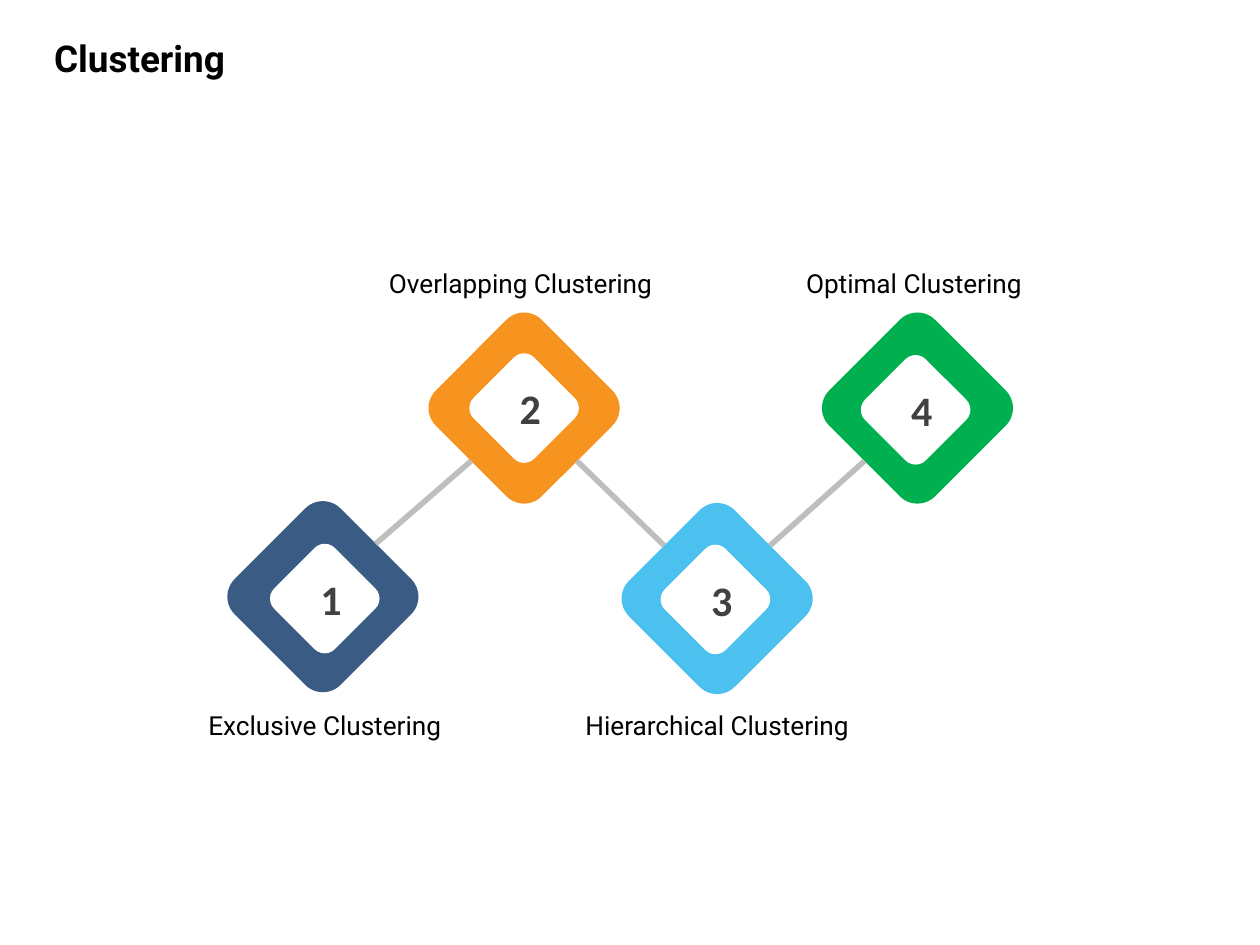
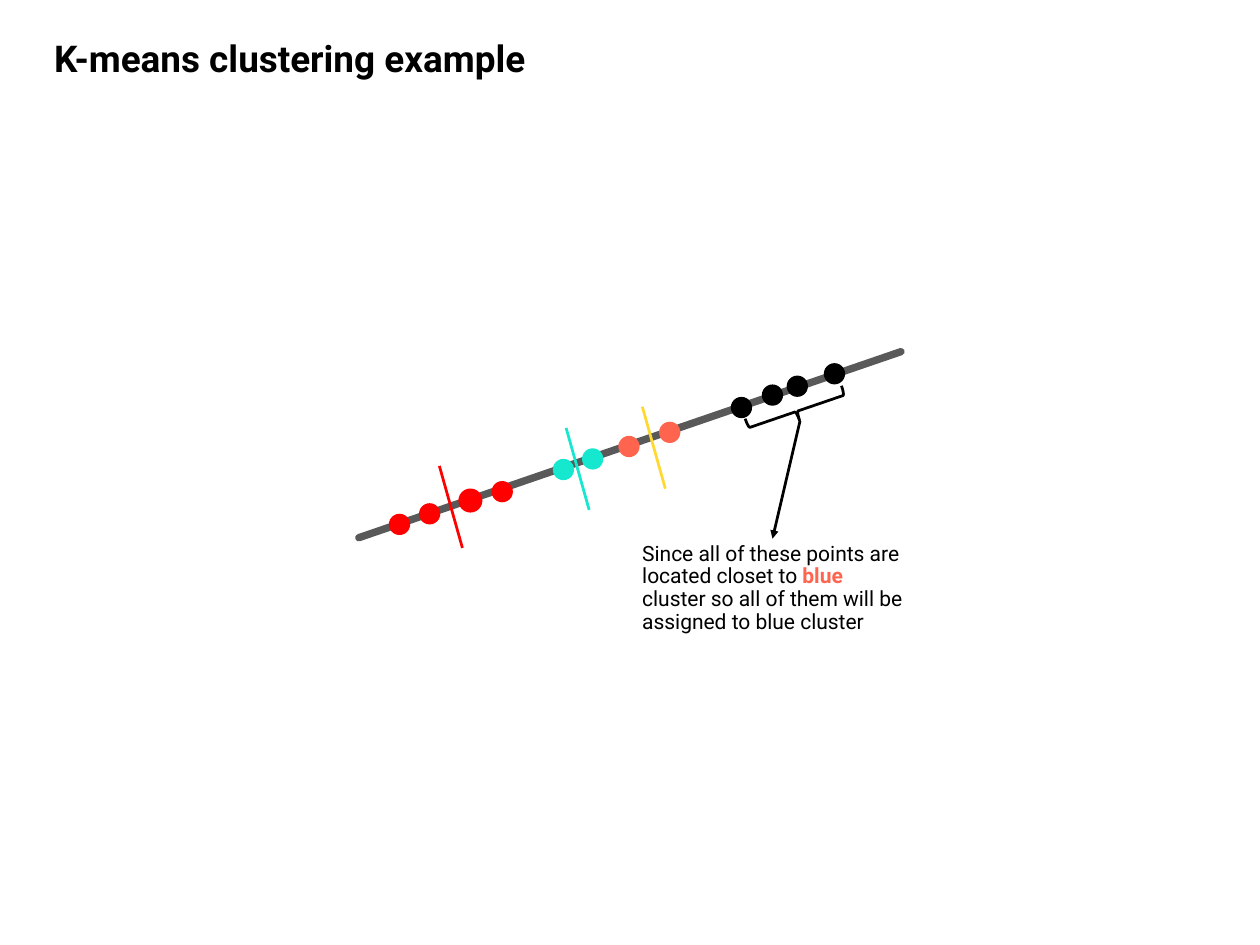
from lxml.etree import SubElement
from pptx import Presentation
from pptx.dml.color import RGBColor
from pptx.enum.shapes import MSO_CONNECTOR, MSO_SHAPE as SHAPE
from pptx.enum.text import MSO_ANCHOR as ANCHOR, MSO_AUTO_SIZE, PP_ALIGN as ALIGN
from pptx.oxml.ns import qn
from pptx.util import Pt

COLORS = {
    "black": "000000", "white": "FFFFFF", "number": "404040",
    "link": "BEBEBE", "axis": "595959",
    "navy": "3A5C84", "orange": "F7931F", "sky": "4CC1EF", "green": "00B050",
    "red": "FF0000", "teal": "16E7CF", "coral": "FF644E", "yellow": "FFD932",
}
FONT = "Roboto"
TITLE_ONLY = 5
TITLE_BOX = (36.7, 29.5, 528.5, 40.3)

OUTER, INNER, NUMBER = 121.7, 69.8, 26.6
# Connection sites of a diamond turned by 225 degrees
DOWN_LEFT, DOWN_RIGHT, UP_RIGHT, UP_LEFT = range(4)
SITE_DIRECTION = {DOWN_LEFT: (-1, 1), DOWN_RIGHT: (1, 1),
                  UP_RIGHT: (1, -1), UP_LEFT: (-1, -1)}

# Label, colour, centre, centre of the white middle, label centre, top, width
METHODS = [
    ("Exclusive Clustering", "navy", (262.4, 484.9), (263.9, 486.4), (263.9, 576, 224)),
    ("Overlapping Clustering", "orange", (425.9, 331.6), (425.9, 331.6), (423, 216.7, 258.5)),
    ("Hierarchical Clustering", "sky", (582.8, 486.4), (581.4, 487.1), (582.8, 576, 224)),
    ("Optimal Clustering", "green", (745.6, 331.6), (744.1, 333), (742.7, 216.7, 258.5)),
]

DOT = 17.3
CLUSTERS = {
    "red": [(324.7, 426.2), (349.2, 417.6), (382.3, 406.8), (408.2, 399.6)],
    "teal": [(457.9, 381.6), (481.7, 373)],
    "coral": [(511.2, 362.9), (544.3, 351.4)],
    "black": [(602.6, 331.2), (627.8, 321.1), (648, 313.9), (678.2, 303.8)],
}
OUTLINED_DOT = CLUSTERS["red"][2]
CENTROIDS = {"red": (357.1, 378.7), "teal": (460.1, 347.8), "yellow": (522, 330.5)}
CENTROID_RUN = (18.7, 66.6)


def rgb(name):
    return RGBColor.from_string(COLORS[name])


def points(*values):
    return [Pt(v) for v in values]


def write(tf, text, size, font=FONT, color="black", bold=False,
          align=ALIGN.LEFT, spacing=0.9, anchor=ANCHOR.TOP):
    """Add text to the frame's paragraph; text is a string or (text, color, bold) runs."""
    tf.word_wrap = True
    tf.auto_size = MSO_AUTO_SIZE.NONE
    tf.vertical_anchor = anchor
    p = tf.paragraphs[0]
    p.alignment, p.line_spacing = align, spacing
    runs = [(text, color, bold)] if isinstance(text, str) else text
    for part, part_color, part_bold in runs:
        r = p.add_run()
        r.text = part
        r.font.name, r.font.size, r.font.bold = font, Pt(size), part_bold
        r.font.color.rgb = rgb(part_color)


def add_text(s, box, text, size, side_inset=7.2, **fmt):
    tf = s.shapes.add_textbox(*points(*box)).text_frame
    tf.margin_left = tf.margin_right = Pt(side_inset)
    write(tf, text, size, **fmt)


def add_title_slide(prs, title):
    s = prs.slides.add_slide(prs.slide_layouts[TITLE_ONLY])
    sp = s.shapes.title
    sp.left, sp.top, sp.width, sp.height = points(*TITLE_BOX)
    write(sp.text_frame, title, 30, bold=True)
    return s


def add_shape(s, kind, center, width, height=None, fill=None, line=None, rotation=0):
    height = height or width
    x, y = center
    sp = s.shapes.add_shape(kind, *points(x - width / 2, y - height / 2, width, height))
    sp.shadow.inherit = False
    sp.rotation = rotation
    if fill:
        sp.fill.solid()
        sp.fill.fore_color.rgb = rgb(fill)
    else:
        sp.fill.background()
    if line:
        sp.line.color.rgb = rgb(line)
        sp.line.width = Pt(2.25)
    else:
        sp.line.fill.background()
    return sp


def add_line(s, start, end, color, width=2.25, round_cap=False, arrow=False):
    c = s.shapes.add_connector(MSO_CONNECTOR.STRAIGHT, *points(*start, *end))
    c.line.color.rgb = rgb(color)
    c.line.width = Pt(width)
    props = c._element.spPr
    ln = props.find(qn("a:ln"))
    if round_cap:
        ln.set("cap", "rnd")
    if arrow:
        SubElement(ln, qn("a:tailEnd"), type="triangle")
    SubElement(props, qn("a:effectLst"))
    return c


def add_diamond(s, center, size, fill):
    return add_shape(s, SHAPE.ROUNDED_RECTANGLE, center, size, fill=fill, rotation=225)


def side_middle(center, site):
    reach = OUTER / 2 * 0.5 ** 0.5
    return [c + reach * d for c, d in zip(center, SITE_DIRECTION[site])]


def link_diamonds(s, first, second):
    """Join two (shape, centre) diamonds at their facing sides."""
    (a, a_center), (b, b_center) = first, second
    rising = b_center[1] < a_center[1]
    a_site, b_site = (UP_RIGHT, DOWN_LEFT) if rising else (DOWN_RIGHT, UP_LEFT)
    start, end = side_middle(a_center, a_site), side_middle(b_center, b_site)
    c = add_line(s, start, end, "link", 4.5)
    c.begin_connect(a, a_site)
    c.end_connect(b, b_site)
    # Joining ignores rotation, so the ends are set again
    c.begin_x, c.begin_y = points(*start)
    c.end_x, c.end_y = points(*end)


def add_method(s, number, label, color, center, middle, label_place):
    diamond = add_diamond(s, center, OUTER, color)
    add_diamond(s, middle, INNER, "white")
    badge = add_shape(s, SHAPE.OVAL, (middle[0] - 1.2, middle[1]), NUMBER, fill="white")
    write(badge.text_frame, str(number), 34.1, font="Calibri", color="number",
          bold=True, align=ALIGN.CENTER, spacing=1, anchor=ANCHOR.MIDDLE)
    x, top, width = label_place
    add_text(s, (x - width / 2, top, width, 30.2), label, 21.3, side_inset=0,
             align=ALIGN.CENTER, anchor=ANCHOR.BOTTOM)
    return diamond, center


def build_methods(prs):
    s = add_title_slide(prs, "Clustering")
    diamonds = [add_method(s, i, *method) for i, method in enumerate(METHODS, 1)]
    for first, second in zip(diamonds, diamonds[1:]):
        link_diamonds(s, first, second)


def build_example(prs):
    s = add_title_slide(prs, "K-means clustering example")
    add_line(s, (291.6, 437), (732.2, 285.8), "axis", 6, round_cap=True)
    for color, centers in CLUSTERS.items():
        for center in centers:
            add_shape(s, SHAPE.OVAL, center, DOT, fill=color,
                      line=color if center == OUTLINED_DOT else None)
    for color, (x, y) in CENTROIDS.items():
        add_line(s, (x, y), (x + CENTROID_RUN[0], y + CENTROID_RUN[1]), color)
    add_shape(s, SHAPE.RIGHT_BRACE, (647.3, 334.4), 15.8, 82.8, line="black", rotation=71.1)
    add_line(s, (650.2, 342), (627.8, 437.8), "black", arrow=True)
    add_text(s, (514.8, 437.8, 226, 82), [
        ("Since all of these points are located closet to ", "black", False),
        ("blue ", "coral", True),
        ("cluster so all of them will be assigned to blue cluster", "black", False),
    ], 17.1)


def main():
    prs = Presentation()
    prs.slide_width, prs.slide_height = points(1024, 768)
    build_methods(prs)
    build_example(prs)
    prs.save("out.pptx")


if __name__ == "__main__":
    main()
